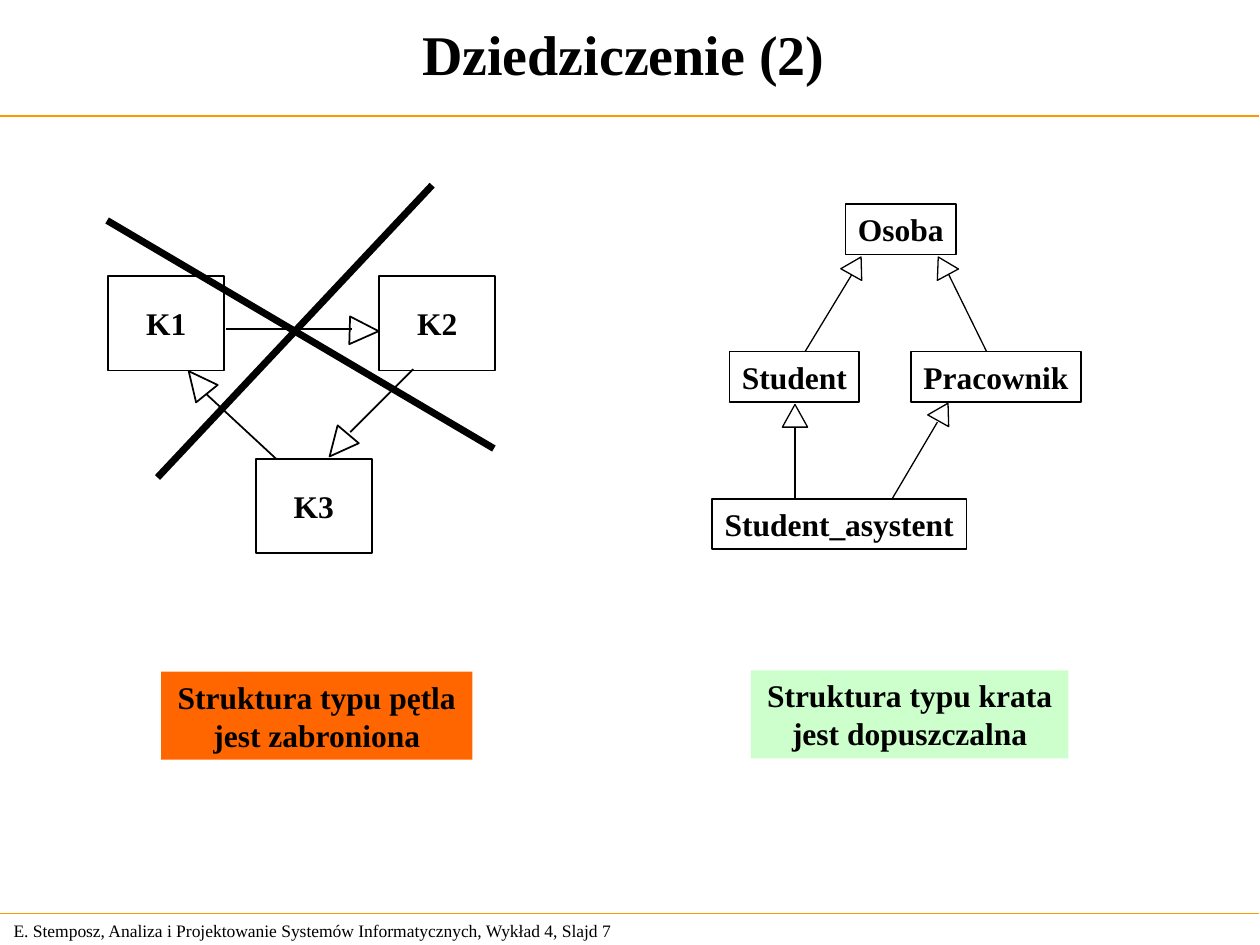
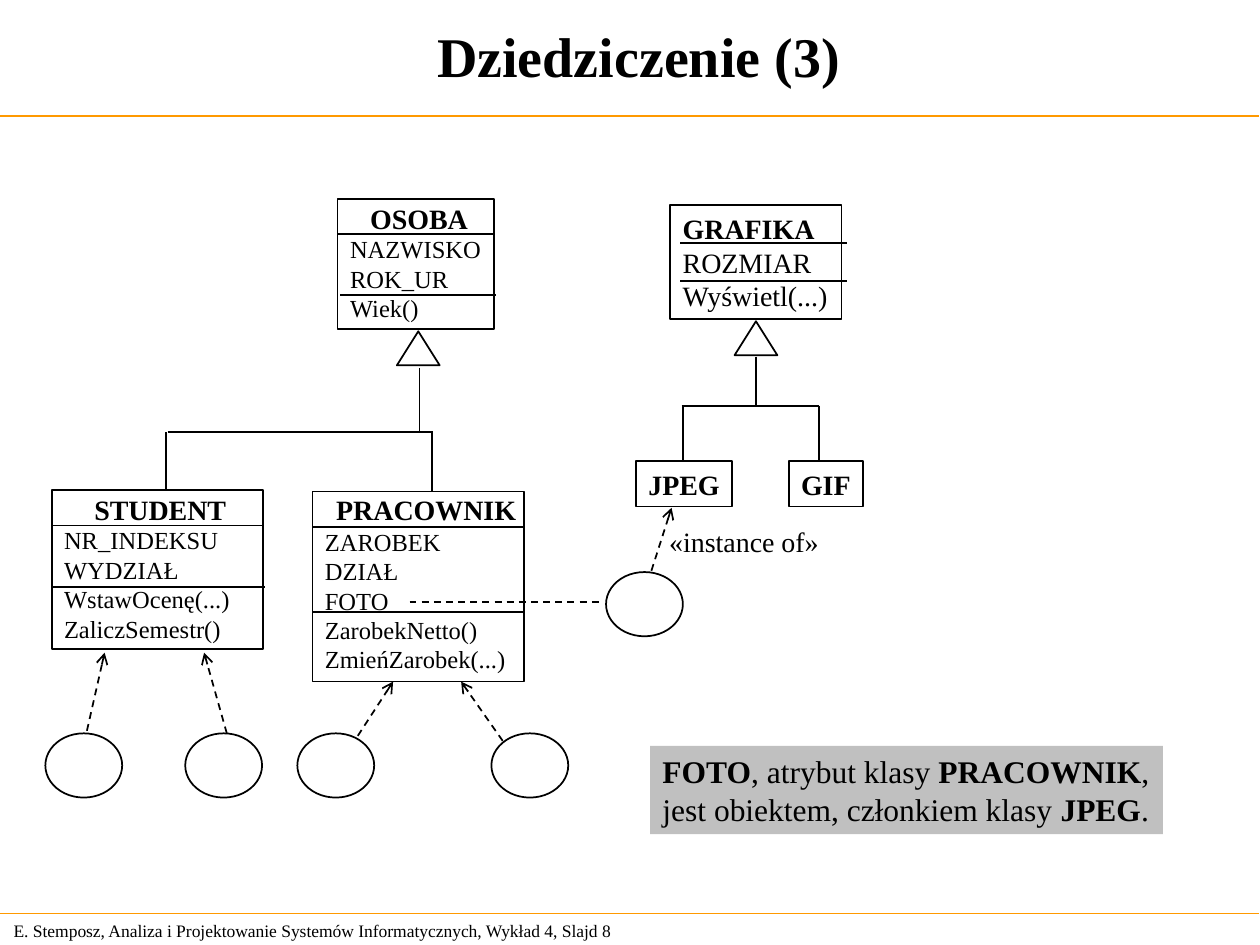
"""Builds two lecture slides on inheritance between classes."""
from dataclasses import dataclass

from lxml.etree import SubElement
from pptx import Presentation
from pptx.dml.color import RGBColor
from pptx.enum.dml import MSO_LINE_DASH_STYLE as DASH
from pptx.enum.shapes import MSO_CONNECTOR, MSO_SHAPE
from pptx.enum.text import MSO_ANCHOR, MSO_AUTO_SIZE, PP_ALIGN
from pptx.oxml.ns import qn
from pptx.util import Inches, Pt


@dataclass(frozen=True)
class Theme:
    font: str = "Times New Roman"
    ink: str = "000000"
    rule: str = "FF9900"
    forbidden: str = "FF6600"
    allowed: str = "CCFFCC"
    note: str = "C0C0C0"
    title: int = 32
    label: int = 18
    name: int = 16
    member: int = 14
    footer: int = 10
    thin: float = 0.75
    line: float = 1
    cross: float = 4


T = Theme()
FOOTER = "E. Stemposz, Analiza i Projektowanie Systemów Informatycznych, Wykład 4, Slajd {}"

LOOP_SIZE = (0.92, 0.75)
LOOP_CLASSES = [("K1", 0.86, 2.19), ("K2", 3.01, 2.19), ("K3", 2.03, 3.64)]
LOOP_HEAD = (0.22, 0.23)
LOOP_HEADS = [(1.46, 2.92, 321.1), (2.58, 3.42, 220.1), (2.78, 2.51, 91.7)]
LOOP_LINES = [(1.64, 3.13, 2.19, 3.64), (1.79, 2.61, 2.79, 2.61), (2.78, 3.43, 3.28, 2.93)]
CROSS_LINES = [(0.85, 1.75, 3.92, 3.56), (1.25, 3.79, 3.43, 1.47)]

LATTICE_HEIGHT = 0.4
LATTICE_CLASSES = [
    ("Osoba", 6.71, 1.62, 0.88),
    ("Student", 5.79, 2.79, 1.03),
    ("Pracownik", 7.23, 2.79, 1.35),
    ("Student_asystent", 5.65, 3.96, 2.02),
]
LATTICE_HEADS = [
    (7.39, 3.19, 0.19, 0.16, 29.3),
    (6.21, 3.21, 0.2, 0.18, 0),
    (7.39, 2.03, 0.19, 0.16, 331.5),
    (6.7, 2.03, 0.19, 0.16, 29.3),
]
LATTICE_LINES = [
    (7.44, 3.35, 7.08, 3.96),
    (6.31, 3.39, 6.31, 3.96),
    (7.53, 2.18, 7.83, 2.79),
    (6.76, 2.18, 6.39, 2.79),
]
VERDICTS = [
    (["Struktura typu pętla", "jest zabroniona"], (1.28, 5.33, 2.47, 0.7), T.forbidden),
    (["Struktura typu krata", "jest dopuszczalna"], (5.96, 5.32, 2.52, 0.7), T.allowed),
]

CLASSES = [
    ("OSOBA", (2.84, 1.55, 0.97, 0.37), (2.68, 1.58, 1.24, 1.03),
     ["NAZWISKO", "ROK_UR", "Wiek()"], [(2.68, 1.86), (2.7, 2.34)]),
    ("STUDENT", (0.65, 3.86, 1.24, 0.37), (0.41, 3.89, 1.68, 1.26),
     ["NR_INDEKSU", "WYDZIAŁ", "WstawOcenę(...)", "ZaliczSemestr()"],
     [(0.41, 4.17), (0.42, 4.66)]),
    ("PRACOWNIK", (2.57, 3.86, 1.63, 0.37), (2.48, 3.9, 1.68, 1.51),
     ["ZAROBEK", "DZIAŁ", "FOTO", "ZarobekNetto()", "ZmieńZarobek(...)"],
     [(2.48, 4.18), (2.48, 4.86)]),
]
GRAPHIC = [[("GRAFIKA", True)], "ROZMIAR", "Wyświetl(...)"]
GRAPHIC_BOX = (5.32, 1.63, 1.36, 0.9)
GRAPHIC_RULES = [1.93, 2.23]
FORMATS = [("JPEG", (5.05, 3.66, 0.76, 0.36)), ("GIF", (6.26, 3.66, 0.59, 0.36))]
TREE_HEADS = [(3.15, 2.63), (5.83, 2.55)]
TREE_LINES = [
    (3.33, 2.92, 3.33, 3.43),
    (1.33, 3.43, 3.44, 3.43),
    (1.32, 3.43, 1.32, 3.9),
    (3.43, 3.43, 3.43, 3.9),
    (6, 2.83, 6, 3.22),
    (5.41, 3.22, 6.5, 3.22),
    (5.42, 3.22, 5.42, 3.66),
    (6.5, 3.22, 6.5, 3.67),
]
OBJECT_SIZE = (0.61, 0.51)
OBJECTS = [(0.36, 5.82), (1.47, 5.82), (2.36, 5.82), (3.9, 5.82), (4.81, 4.54)]
INSTANCE_ARROWS = [
    (0.69, 5.8, 0.83, 5.18),
    (1.8, 5.82, 1.62, 5.18),
    (2.84, 5.84, 3.12, 5.41),
    (3.99, 5.88, 3.66, 5.41),
    (5.17, 4.53, 5.33, 4.03),
]
PHOTO_LINK = (3.25, 4.78, 4.75, 4.78)
NOTE = [
    [("FOTO", True), (", atrybut klasy ", False), ("PRACOWNIK", True), (",", False)],
    [("jest obiektem, członkiem klasy ", False), ("JPEG", True), (".", False)],
]


def rgb(color):
    return RGBColor.from_string(color)


def write(sp, lines, size, bold=False, align=PP_ALIGN.LEFT, anchor=MSO_ANCHOR.TOP, top=0.05):
    """Fill a shape with lines, each a string or a list of (text, bold) runs."""
    tf = sp.text_frame
    tf.auto_size = MSO_AUTO_SIZE.NONE
    tf.word_wrap = align == PP_ALIGN.LEFT
    tf.vertical_anchor = anchor
    tf.margin_top = Inches(top)
    if align == PP_ALIGN.LEFT:
        tf.margin_right = 0
    for i, line in enumerate(lines):
        p = tf.add_paragraph() if i else tf.paragraphs[0]
        p.alignment = align
        p.font.name, p.font.size = T.font, Pt(size)
        p.font.bold = bold
        p.font.color.rgb = rgb(T.ink)
        if isinstance(line, str):
            p.add_run().text = line
            continue
        for text, strong in line:
            r = p.add_run()
            r.text, r.font.bold = text, strong


def add_shape(s, box, kind=MSO_SHAPE.RECTANGLE, fill=None, width=T.line, turn=0):
    """Add an outlined shape, or a filled one without outline."""
    sp = s.shapes.add_shape(kind, *map(Inches, box))
    sp.shadow.inherit = False
    sp.rotation = turn
    if fill:
        sp.fill.solid()
        sp.fill.fore_color.rgb = rgb(fill)
        sp.line.fill.background()
    else:
        sp.fill.background()
        sp.line.color.rgb = rgb(T.ink)
        sp.line.width = Pt(width)
    return sp


def add_text(s, box, lines, size, **style):
    write(s.shapes.add_textbox(*map(Inches, box)), lines, size, **style)


def add_line(s, ends, width=T.line, color=T.ink, dashed=False, arrow=False):
    """Draw a straight line between two points."""
    cx = s.shapes.add_connector(MSO_CONNECTOR.STRAIGHT, *map(Inches, ends))
    cx.line.color.rgb = rgb(color)
    cx.line.width = Pt(width)
    if dashed:
        cx.line.dash_style = DASH.DASH
    if arrow:
        SubElement(cx.line._get_or_add_ln(), qn("a:tailEnd"), type="arrow")
    SubElement(cx._element.spPr, qn("a:effectLst"))


def add_slide(prs, title, box, number):
    """Add a slide with its title, two rules and footer."""
    s = prs.slides.add_slide(prs.slide_layouts[5])
    sp = s.shapes.title
    sp.left, sp.top, sp.width, sp.height = map(Inches, box)
    write(sp, [title], T.title, bold=True, align=PP_ALIGN.CENTER, anchor=MSO_ANCHOR.MIDDLE)
    for y, width in [(0.92, T.line), (7.25, T.thin)]:
        add_line(s, (-0.01, y, 9.99, y), width, T.rule)
    add_text(s, (0.01, 7.25, 5.24, 0.27), [FOOTER.format(number)], T.footer,
             anchor=MSO_ANCHOR.MIDDLE)
    return s


def build_structures(prs):
    """Contrast the forbidden loop with the allowed lattice."""
    s = add_slide(prs, "Dziedziczenie (2)", (0, 0, 9.9, 0.85), 7)
    for lines, box, fill in VERDICTS:
        write(add_shape(s, box, fill=fill), lines, T.label, bold=True, align=PP_ALIGN.CENTER)
    for name, x, y, w in LATTICE_CLASSES:
        write(add_shape(s, (x, y, w, LATTICE_HEIGHT)), [name], T.label, bold=True,
              align=PP_ALIGN.CENTER)
    for *box, turn in LATTICE_HEADS:
        add_shape(s, box, MSO_SHAPE.ISOSCELES_TRIANGLE, width=T.thin, turn=turn)
    for ends in LATTICE_LINES:
        add_line(s, ends, T.thin)
    for name, x, y in LOOP_CLASSES:
        write(add_shape(s, (x, y, *LOOP_SIZE)), [name], T.label, bold=True,
              align=PP_ALIGN.CENTER, anchor=MSO_ANCHOR.MIDDLE)
    for x, y, turn in LOOP_HEADS:
        add_shape(s, (x, y, *LOOP_HEAD), MSO_SHAPE.ISOSCELES_TRIANGLE, turn=turn)
    for ends in LOOP_LINES:
        add_line(s, ends)
    for ends in CROSS_LINES:
        add_line(s, ends, T.cross)


def build_example(prs):
    """Show two class trees with their instances."""
    s = add_slide(prs, "Dziedziczenie (3)", (0.19, 0.01, 9.76, 0.85), 8)
    for name, name_box, box, members, rules in CLASSES:
        write(add_shape(s, box), members, T.member, top=0.28)
        add_text(s, name_box, [name], T.name, bold=True)
        for x, y in rules:
            add_line(s, (x, y, x + box[2], y))
    write(add_shape(s, GRAPHIC_BOX), GRAPHIC, T.name)
    for y in GRAPHIC_RULES:
        add_line(s, (5.4, y, 6.72, y))
    for name, box in FORMATS:
        write(add_shape(s, box), [name], T.name, bold=True, align=PP_ALIGN.CENTER)
    for x, y in TREE_HEADS:
        add_shape(s, (x, y, 0.34, 0.27), MSO_SHAPE.ISOSCELES_TRIANGLE)
    for ends in TREE_LINES:
        add_line(s, ends)
    for x, y in OBJECTS:
        add_shape(s, (x, y, *OBJECT_SIZE), MSO_SHAPE.OVAL)
    for ends in INSTANCE_ARROWS:
        add_line(s, ends, dashed=True, arrow=True)
    add_line(s, PHOTO_LINK, dashed=True)
    write(add_shape(s, (5.16, 5.92, 4.07, 0.7), fill=T.note), NOTE, T.label,
          anchor=MSO_ANCHOR.MIDDLE)
    add_text(s, (5.21, 4.11, 1.39, 0.37), ["«instance of»"], T.name,
             align=PP_ALIGN.CENTER, anchor=MSO_ANCHOR.MIDDLE)


def main():
    prs = Presentation()
    prs.slide_width, prs.slide_height = Inches(10), Inches(7.5)
    build_structures(prs)
    build_example(prs)
    prs.save("out.pptx")


if __name__ == "__main__":
    main()
